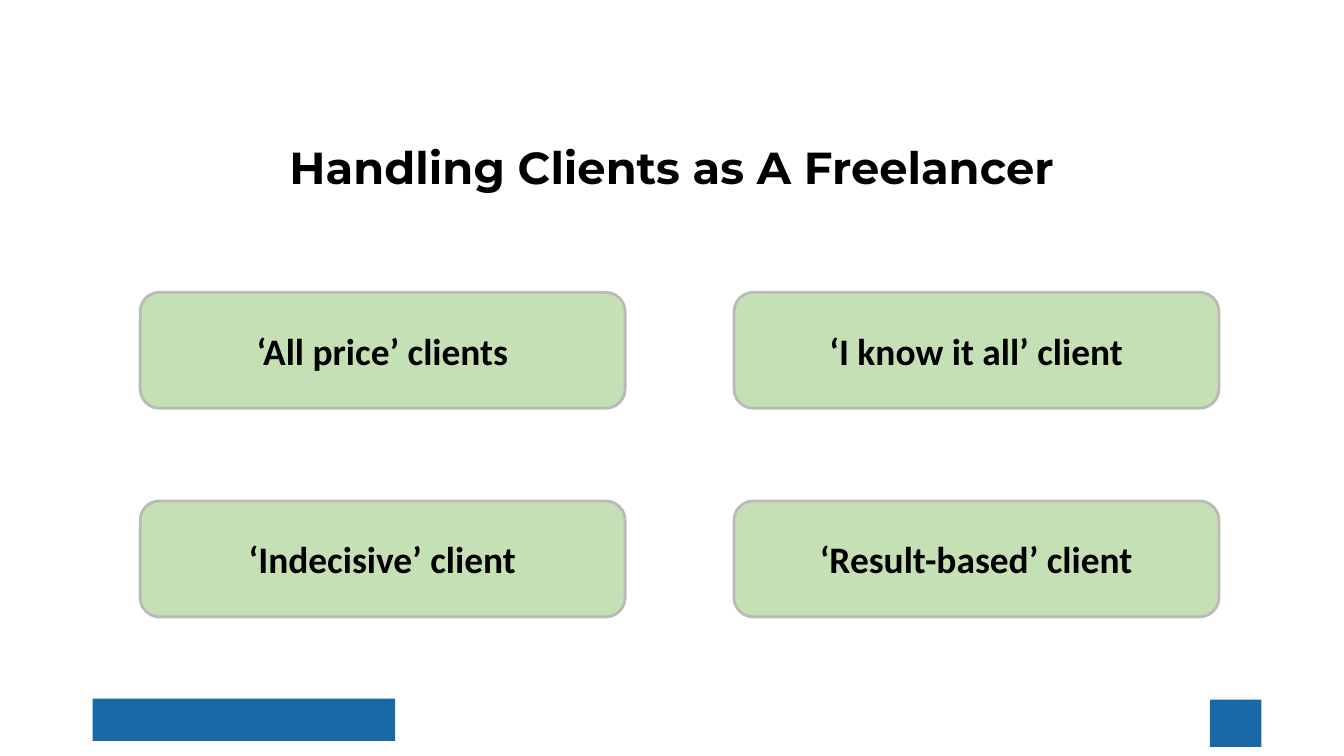
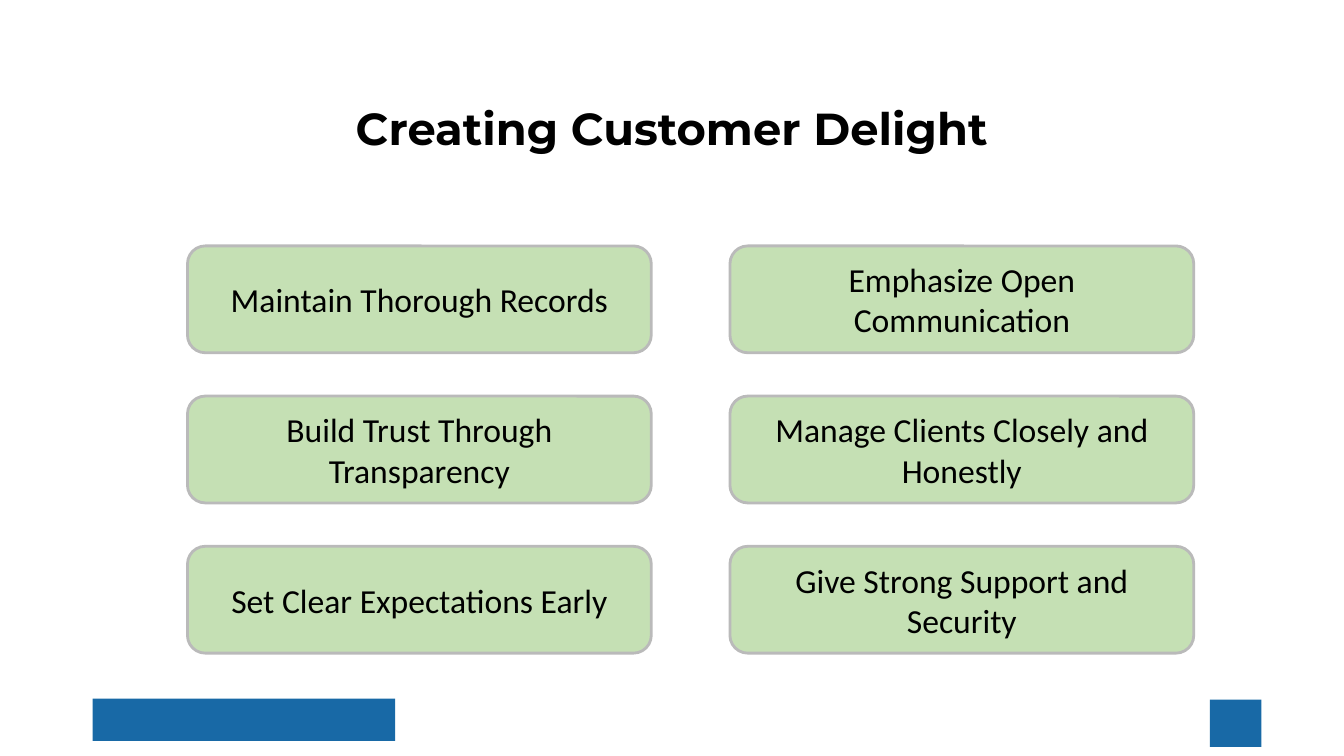
import pptx
import pptx.dml.color
import pptx.enum.shapes
import pptx.enum.text
import pptx.util

Inches = pptx.util.Inches
Pt = pptx.util.Pt
RGBColor = pptx.dml.color.RGBColor
Shapes = pptx.enum.shapes.MSO_SHAPE

BLACK = RGBColor(0x00, 0x00, 0x00)
BLUE = RGBColor(0x18, 0x69, 0xA6)
GREEN = RGBColor(0xC5, 0xE0, 0xB4)
GRAY = RGBColor(0xBA, 0xBA, 0xBA)

TITLE_FONT = {"name": "Montserrat", "size": Pt(32), "bold": True}
STRONG_CARD_FONT = {"name": "Calibri", "size": Pt(26.7), "bold": True}
CARD_FONT = {"name": "Calibri", "size": Pt(24), "bold": False}
FRAME_FORMAT = {
    "word_wrap": True,
    "vertical_anchor": pptx.enum.text.MSO_ANCHOR.MIDDLE,
    "margin_left": Inches(0.13),
    "margin_right": Inches(0.13),
    "margin_top": Inches(0.07),
    "margin_bottom": Inches(0.07),
}
FOOTER_BLOCKS = [(0.92, 6.93, 3, 0.42), (12, 6.94, 0.51, 0.47)]


class SlideBuilder:
    def __init__(self, deck):
        self.deck = deck
        self.page = None

    def start_page(self, title, title_top):
        self.page = self.deck.slides.add_slide(self.deck.slide_layouts[6])
        for area in FOOTER_BLOCKS:
            self.block(Shapes.RECTANGLE, area, BLUE)
        self.title(title, title_top)

    def block(self, kind, area, color):
        box = self.page.shapes.add_shape(kind, *map(Inches, area))
        box.shadow.inherit = False
        box.fill.solid()
        box.fill.fore_color.rgb = color
        box.line.fill.background()
        return box

    def set_text(self, box, text, font_format):
        frame = box.text_frame
        for name, value in FRAME_FORMAT.items():
            setattr(frame, name, value)
        para = frame.paragraphs[0]
        para.alignment = pptx.enum.text.PP_ALIGN.CENTER
        span = para.add_run()
        span.text = text
        for name, value in font_format.items():
            setattr(span.font, name, value)
        span.font.color.rgb = BLACK

    def title(self, text, top):
        area = (1.05, top, 11.23, 0.84)
        box = self.page.shapes.add_textbox(*map(Inches, area))
        self.set_text(box, text, TITLE_FONT)

    def card(self, text, area, font_format):
        box = self.block(Shapes.ROUNDED_RECTANGLE, area, GREEN)
        box.line.color.rgb = GRAY
        box.line.width = Pt(2)
        self.set_text(box, text, font_format)

    def card_grid(self, rows, origin, pitch, size, font_format):
        for row, labels in enumerate(rows):
            for column, label in enumerate(labels):
                left = origin[0] + column * pitch[0]
                top = origin[1] + row * pitch[1]
                self.card(label, (left, top, *size), font_format)


def main():
    deck = pptx.Presentation()
    deck.slide_width = Inches(13.33)
    deck.slide_height = Inches(7.5)
    builder = SlideBuilder(deck)

    builder.start_page("Handling Clients as A Freelancer", 1.23)
    client_types = [
        ("‘All price’ clients", "‘I know it all’ client"),
        ("‘Indecisive’ client", "‘Result-based’ client"),
    ]
    builder.card_grid(client_types, origin=(1.39, 2.9), pitch=(5.89, 2.07),
                      size=(4.81, 1.15), font_format=STRONG_CARD_FONT)

    builder.start_page("Creating Customer Delight", 0.85)
    delight_steps = [
        ("Maintain Thorough Records", "Emphasize Open Communication"),
        ("Build Trust Through Transparency", "Manage Clients Closely and Honestly"),
        ("Set Clear Expectations Early", "Give Strong Support and Security"),
    ]
    builder.card_grid(delight_steps, origin=(1.86, 2.44), pitch=(5.38, 1.49),
                      size=(4.6, 1.06), font_format=CARD_FONT)

    deck.save("out.pptx")


if __name__ == "__main__":
    main()
